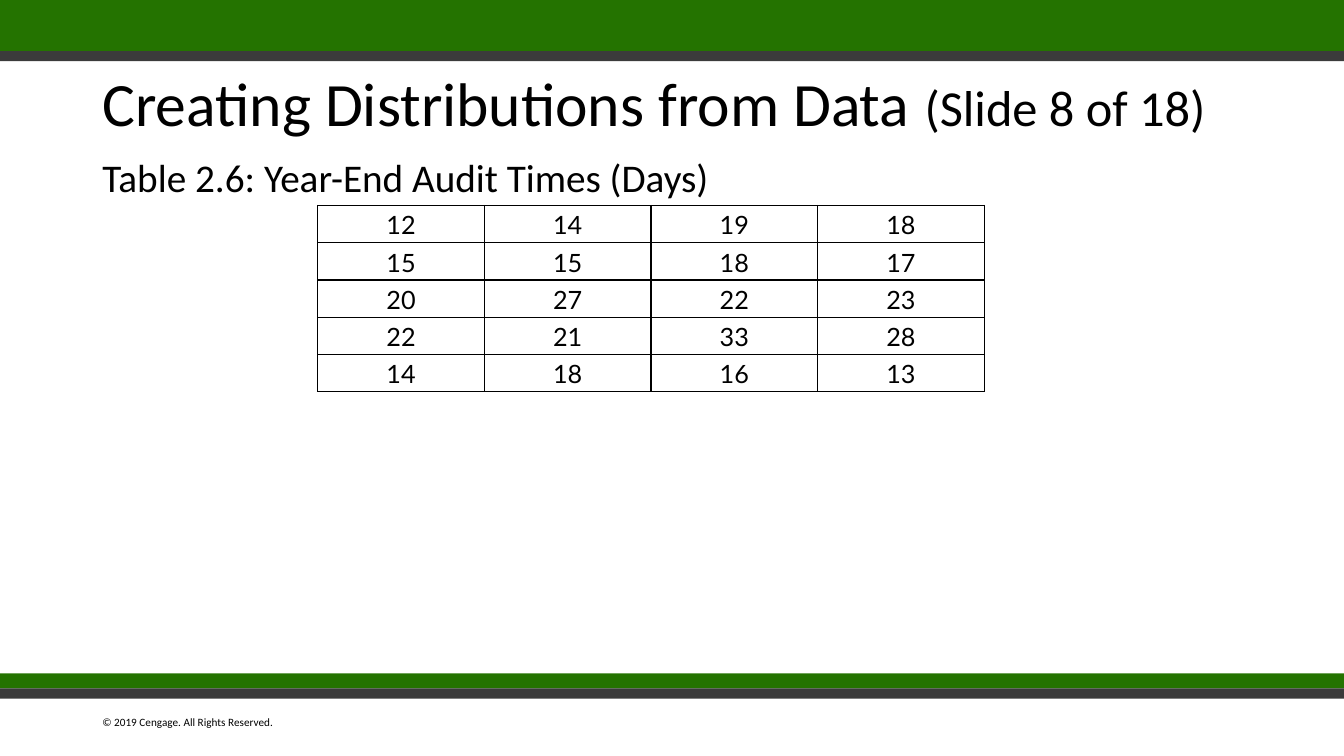
from lxml.etree import SubElement
from pptx import Presentation
from pptx.dml.color import RGBColor
from pptx.enum.shapes import MSO_SHAPE as Shape
from pptx.enum.text import MSO_ANCHOR as Anchor, MSO_AUTO_SIZE as AutoSize, PP_ALIGN as Align
from pptx.oxml.ns import qn
from pptx.util import Pt

GREEN = RGBColor(0x24, 0x73, 0x00)
DARK_GRAY = RGBColor(0x3B, 0x3B, 0x3B)
FOOT_GRAY = RGBColor(0x3A, 0x3A, 0x3A)
BLACK = RGBColor(0, 0, 0)

SLIDE_WIDTH, SLIDE_HEIGHT = 960, 540
MARGIN_LEFT, CONTENT_WIDTH = 66, 828

# Top, height and colour of each full-width band
BANDS = [
    (0, 36.5, GREEN),
    (36.5, 7.2, DARK_GRAY),
    (481, 10.8, GREEN),
    (491.8, 7.2, FOOT_GRAY),
]

AUDIT_TIMES = [
    [12, 14, 19, 18],
    [15, 15, 18, 17],
    [20, 27, 22, 23],
    [22, 21, 33, 28],
    [14, 18, 16, 13],
]
COLUMN_WIDTH, ROW_HEIGHT = 119, 26.6


def add_run(paragraph, text, size, font="Calibri"):
    run = paragraph.add_run()
    run.text = text
    run.font.name = font
    run.font.size = Pt(size)
    run.font.bold = False
    run.font.color.rgb = BLACK


def add_band(slide, top, height, color):
    band = slide.shapes.add_shape(
        Shape.RECTANGLE, 0, Pt(top), Pt(SLIDE_WIDTH), Pt(height))
    band.shadow.inherit = False
    band.fill.solid()
    band.fill.fore_color.rgb = color
    band.line.fill.background()


def fill_placeholder(placeholder, top, height, runs):
    placeholder.left, placeholder.top = Pt(MARGIN_LEFT), Pt(top)
    placeholder.width, placeholder.height = Pt(CONTENT_WIDTH), Pt(height)
    frame = placeholder.text_frame
    frame.auto_size = AutoSize.NONE
    frame.vertical_anchor = Anchor.TOP
    paragraph = frame.paragraphs[0]
    properties = paragraph._p.get_or_add_pPr()
    properties.set("marL", "0")
    properties.set("indent", "0")
    SubElement(properties, qn("a:buNone"))
    paragraph.alignment = Align.LEFT
    paragraph.line_spacing = 0.9
    paragraph.space_before = Pt(0)
    for text, size in runs:
        add_run(paragraph, text, size)


def add_copyright(slide, text):
    copyright_box = slide.shapes.add_textbox(
        Pt(MARGIN_LEFT), Pt(507.6), Pt(144), Pt(16.6))
    copyright_box.text_frame.word_wrap = True
    add_run(copyright_box.text_frame.paragraphs[0], text, 8)


def add_borders(cell):
    properties = cell._tc.get_or_add_tcPr()
    for side in ("a:lnL", "a:lnR", "a:lnT", "a:lnB"):
        border = SubElement(properties, qn(side), w=str(Pt(1)))
        fill = SubElement(border, qn("a:solidFill"))
        SubElement(fill, qn("a:srgbClr"), val=str(BLACK))


def format_cell(cell, value):
    add_borders(cell)
    cell.fill.background()
    cell.vertical_anchor = Anchor.MIDDLE
    cell.margin_left = cell.margin_right = Pt(5)
    cell.margin_top = cell.margin_bottom = 0
    paragraph = cell.text_frame.paragraphs[0]
    paragraph.alignment = Align.CENTER
    paragraph.line_spacing = 1.07
    add_run(paragraph, str(value), 18, "Lato")


def add_audit_table(slide, left, top):
    row_count, column_count = len(AUDIT_TIMES), len(AUDIT_TIMES[0])
    audit_table = slide.shapes.add_table(
        row_count, column_count, Pt(left), Pt(top),
        Pt(column_count * COLUMN_WIDTH), Pt(row_count * ROW_HEIGHT)).table
    audit_table.first_row = False
    audit_table.horz_banding = False
    for column in audit_table.columns:
        column.width = Pt(COLUMN_WIDTH)
    for row, times in zip(audit_table.rows, AUDIT_TIMES):
        row.height = Pt(ROW_HEIGHT)
        for cell, days in zip(row.cells, times):
            format_cell(cell, days)


def main():
    deck = Presentation()
    deck.slide_width, deck.slide_height = Pt(SLIDE_WIDTH), Pt(SLIDE_HEIGHT)
    slide = deck.slides.add_slide(deck.slide_layouts[1])

    # Frame of the slide
    add_copyright(slide, "© 2019 Cengage. All Rights Reserved.")
    for top, height, color in BANDS:
        add_band(slide, top, height, color)

    # Heading and table caption
    fill_placeholder(slide.shapes.title, 49, 82.8, [
        ("Creating Distributions from Data ", 44),
        ("(Slide 8 of 18)", 36),
    ])
    fill_placeholder(slide.placeholders[1], 109.4, 113, [
        ("Table 2.6: Year-End Audit Times (Days)", 28),
    ])

    # Audit times
    add_audit_table(slide, 227, 146.8)

    deck.save("out.pptx")


if __name__ == "__main__":
    main()
